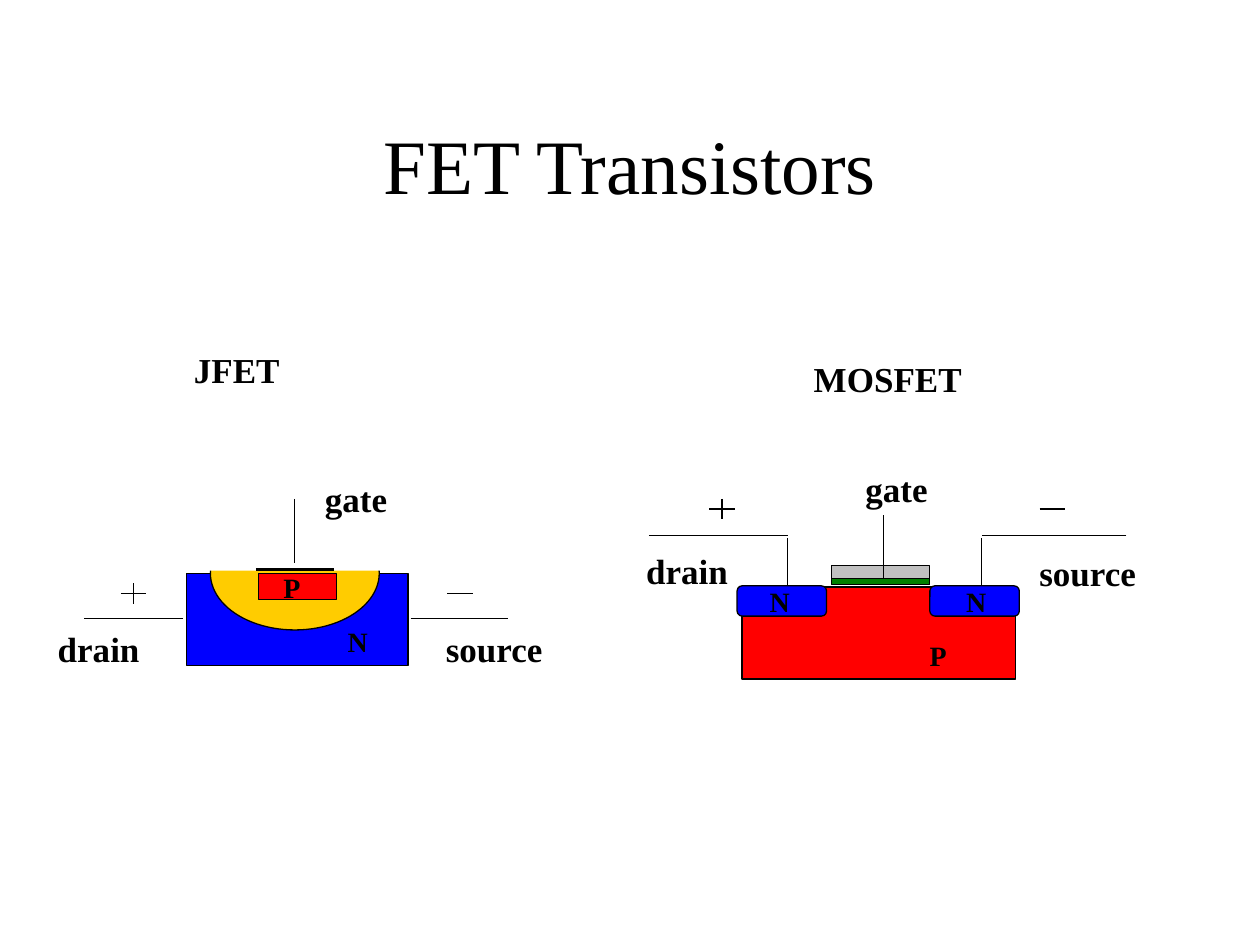
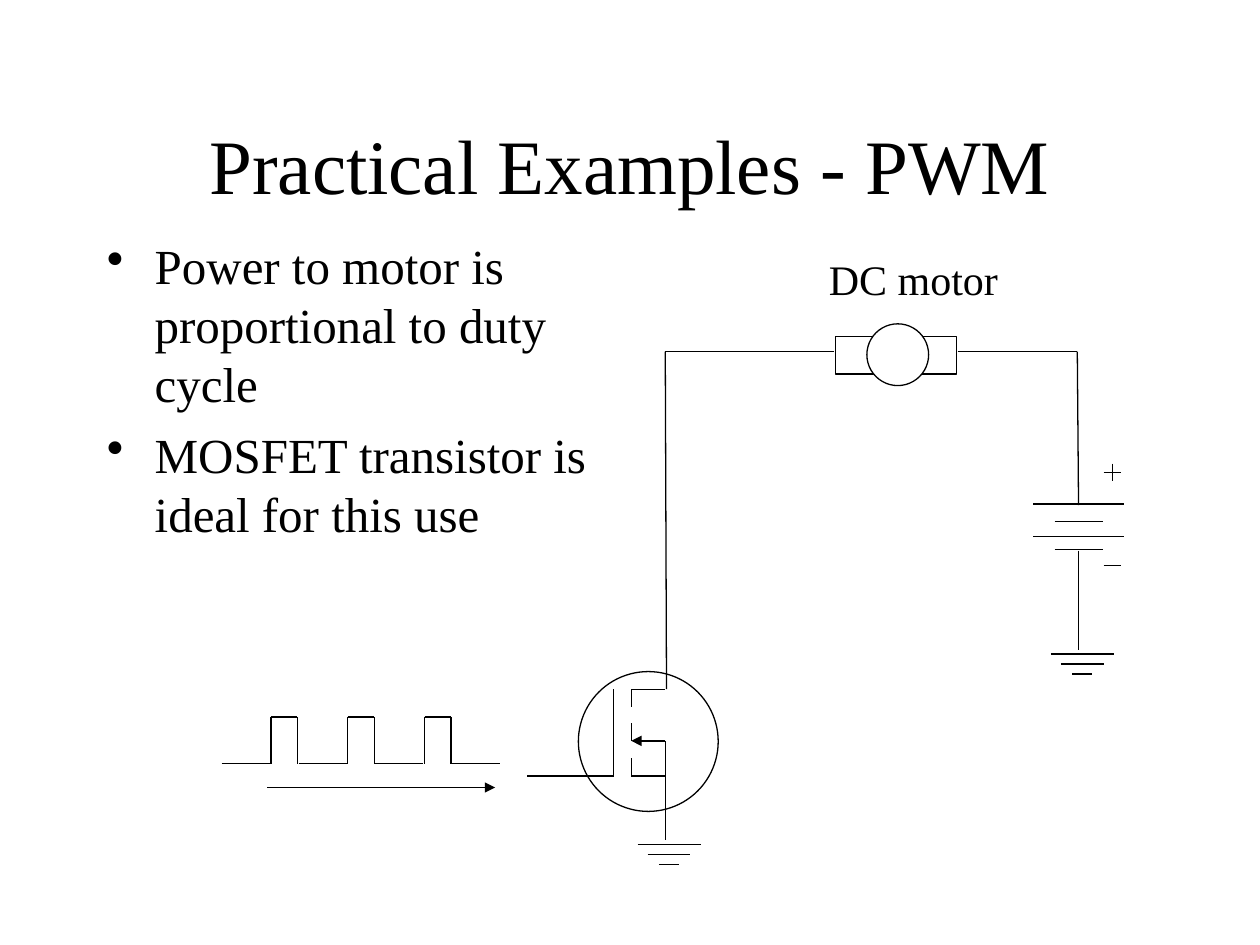
from dataclasses import dataclass
from itertools import pairwise
from typing import Any

from lxml.etree import SubElement
from pptx import Presentation
from pptx.dml.color import RGBColor
from pptx.enum.shapes import MSO_CONNECTOR, MSO_SHAPE
from pptx.enum.text import MSO_ANCHOR, PP_ALIGN
from pptx.oxml.ns import qn
from pptx.util import Inches, Pt

BLACK, WHITE = "000000", "FFFFFF"
N_TYPE, P_TYPE = "0000FF", "FF0000"
DEPLETION, METAL, OXIDE = "FFCC00", "C0C0C0", "008000"
HAIRLINE = 0.75

BASE_FONT = {"name": "Times New Roman", "bold": False}
TITLE = BASE_FONT | {"size": Pt(44)}
BODY = BASE_FONT | {"size": Pt(28)}
CAPTION = BASE_FONT | {"size": Pt(24)}
LABEL = BASE_FONT | {"size": Pt(20), "bold": True}
DOPING = LABEL | {"size": Pt(16)}


def color(value):
    return RGBColor.from_string(value)


def apply(target, formats):
    for name, value in formats.items():
        setattr(target, name, value)


@dataclass
class Region:
    slide: Any
    left: float
    top: float

    def at(self, x, y):
        return Inches(self.left + x), Inches(self.top + y)

    def text(self, x, y, width, height, paragraphs, font, **layout):
        frame = self.slide.shapes.add_textbox(
            *self.at(x, y), Inches(width), Inches(height)).text_frame
        apply(frame, {"word_wrap": True} | layout)
        for index, words in enumerate(paragraphs):
            paragraph = frame.add_paragraph() if index else frame.paragraphs[0]
            run = paragraph.add_run()
            run.text = words
            apply(run.font, font)
            run.font.color.rgb = color(BLACK)
        return frame

    def label(self, x, y, words, font=LABEL, width=1.25):
        self.text(x, y, width, 0.44, [words], font)

    def block(self, x, y, width, height, fill=None, line=BLACK,
              preset=MSO_SHAPE.RECTANGLE):
        shape = self.slide.shapes.add_shape(
            preset, *self.at(x, y), Inches(width), Inches(height))
        shape.shadow.inherit = False
        if fill:
            shape.fill.solid()
            shape.fill.fore_color.rgb = color(fill)
        else:
            shape.fill.background()
        if line:
            shape.line.color.rgb = color(line)
            shape.line.width = Pt(HAIRLINE)
        else:
            shape.line.fill.background()

    def wire(self, *points, weight=HAIRLINE, arrow=False):
        for start, end in pairwise(points):
            segment = self.slide.shapes.add_connector(
                MSO_CONNECTOR.STRAIGHT, *self.at(*start), *self.at(*end))
            segment.line.color.rgb = color(BLACK)
            segment.line.width = Pt(weight)
            if arrow:
                SubElement(segment.line._get_or_add_ln(), qn("a:tailEnd"),
                           type="triangle")
            SubElement(segment._element.spPr, qn("a:effectLst"))

    def minus(self, x, y, half):
        self.wire((x - half, y), (x + half, y))

    def plus(self, x, y, half, rise):
        self.minus(x, y, half)
        self.wire((x, y - rise), (x, y + rise))


def add_title(slide, words):
    frame = Region(slide, 0.75, 0.67).text(
        0, 0, 8.5, 1.25, [words], TITLE, vertical_anchor=MSO_ANCHOR.MIDDLE)
    frame.paragraphs[0].alignment = PP_ALIGN.CENTER


def draw_jfet(region):
    region.label(1.08, 0, "JFET")
    region.block(1.12, 1.83, 1.76, 0.73, N_TYPE)
    region.block(1.31, 1.38, 1.34, 0.9, DEPLETION, preset=MSO_SHAPE.OVAL)
    region.block(1.29, 1.28, 1.46, 0.53, WHITE, line=None)
    region.block(1.69, 1.83, 0.62, 0.21, P_TYPE)
    region.label(1.79, 1.76, "P", DOPING)
    region.label(2.3, 2.19, "N", DOPING)

    region.wire((0.31, 2.19), (1.09, 2.19))
    region.plus(0.7, 1.99, 0.1, 0.08)
    region.label(0, 2.21, "drain")

    region.wire((2.9, 2.19), (3.67, 2.19))
    region.minus(3.29, 1.99, 0.1)
    region.label(3.08, 2.21, "source")

    region.wire((1.67, 1.8), (2.29, 1.8), weight=2)
    region.wire((1.98, 1.24), (1.98, 1.75))
    region.label(2.12, 1.02, "gate")


def draw_mosfet(region):
    region.label(1.33, 0, "MOSFET", width=1.83)
    region.block(0.86, 1.87, 2.17, 0.73, P_TYPE)
    region.label(2.25, 2.23, "P", DOPING)
    for well, mark, lead, outer in ((0.82, 0.98, 1.22, 0.12),
                                    (2.35, 2.54, 2.76, 3.91)):
        region.block(well, 1.86, 0.71, 0.24, N_TYPE,
                     preset=MSO_SHAPE.ROUNDED_RECTANGLE)
        region.label(mark, 1.8, "N", DOPING)
        region.wire((outer, 1.46), (lead, 1.46))
        region.wire((lead, 1.48), (lead, 1.86))
    region.plus(0.7, 1.25, 0.1, 0.08)
    region.label(0, 1.52, "drain", width=1.11)
    region.minus(3.32, 1.25, 0.1)
    region.label(3.12, 1.54, "source")

    region.block(1.57, 1.7, 0.78, 0.14, METAL)
    region.block(1.57, 1.8, 0.78, 0.05, OXIDE)
    region.wire((1.98, 1.3), (1.98, 1.8))
    region.label(1.74, 0.87, "gate")


def draw_bullets(region, points):
    frame = region.text(0, 0, 4.17, 4.5, points, BODY)
    for paragraph in frame.paragraphs:
        paragraph.space_before = Pt(7)
        properties = paragraph._p.get_or_add_pPr()
        properties.set("marL", str(Inches(0.38)))
        properties.set("indent", str(Inches(-0.38)))
        SubElement(properties, qn("a:buChar"), char="•")


def draw_ground(region):
    for step, half in enumerate((0.25, 0.17, 0.08)):
        region.minus(0, step * 0.08, half)


def draw_motor(region):
    region.label(0, 0, "DC motor", CAPTION, width=2.32)
    region.block(0.15, 0.71, 0.96, 0.3)
    region.block(0.4, 0.61, 0.49, 0.49, WHITE, preset=MSO_SHAPE.OVAL)


def draw_battery(region):
    for y, half in ((0, 0.36), (0.14, 0.19), (0.26, 0.36), (0.36, 0.19)):
        region.minus(0, y, half)
    region.plus(0.27, -0.25, 0.07, 0.07)
    region.minus(0.27, 0.49, 0.07)
    region.wire((0, 0.37), (0, 1.16))


def draw_transistor(region):
    region.block(0, 0, 1.11, 1.11, preset=MSO_SHAPE.OVAL)
    region.wire((0.28, 0.14), (0.28, 0.83), (-0.41, 0.83))
    for y in (0.14, 0.41, 0.69):
        region.wire((0.42, y), (0.42, y + 0.14))
    for y in (0.14, 0.83):
        region.wire((0.42, y), (0.69, y))
    region.wire((0.69, 0.55), (0.42, 0.55), arrow=True)
    region.wire((0.69, 0.55), (0.69, 1.34))


def draw_pulses(region, count=3, pitch=0.61, low=0.38, high=0.21, rise=0.37):
    for index in range(count + 1):
        start = index * pitch
        region.wire((start, rise), (start + low, rise))
        if index < count:
            front = start + low + 0.01
            back = front + high
            region.wire((front, rise), (front, 0), (back, 0), (back, rise))
    region.wire((0.36, 0.56), (2.17, 0.56), arrow=True)


def draw_supply_wires(region):
    region.wire((1.34, 0), (0, 0), (0.01, 2.68))
    region.wire((2.32, 0), (3.27, 0), (3.28, 1.22))


def build_fet_slide(slide):
    add_title(slide, "FET Transistors")
    draw_jfet(Region(slide, 0.36, 2.72))
    draw_mosfet(Region(slide, 5.03, 2.79))


def build_pwm_slide(slide):
    add_title(slide, "Practical Examples - PWM")
    draw_bullets(Region(slide, 0.75, 1.82), [
        "Power to motor is proportional to duty cycle",
        "MOSFET transistor is ideal for this use",
    ])
    draw_supply_wires(Region(slide, 5.28, 2.79))
    draw_motor(Region(slide, 6.48, 1.96))
    draw_battery(Region(slide, 8.56, 4))
    draw_transistor(Region(slide, 4.59, 5.33))
    draw_pulses(Region(slide, 1.76, 5.69))
    for left, top in ((5.31, 6.7), (8.59, 5.19)):
        draw_ground(Region(slide, left, top))


def main():
    deck = Presentation()
    apply(deck, {"slide_width": Inches(10), "slide_height": Inches(7.5)})
    for build in (build_fet_slide, build_pwm_slide):
        build(deck.slides.add_slide(deck.slide_layouts[6]))
    deck.save("out.pptx")


if __name__ == "__main__":
    main()
